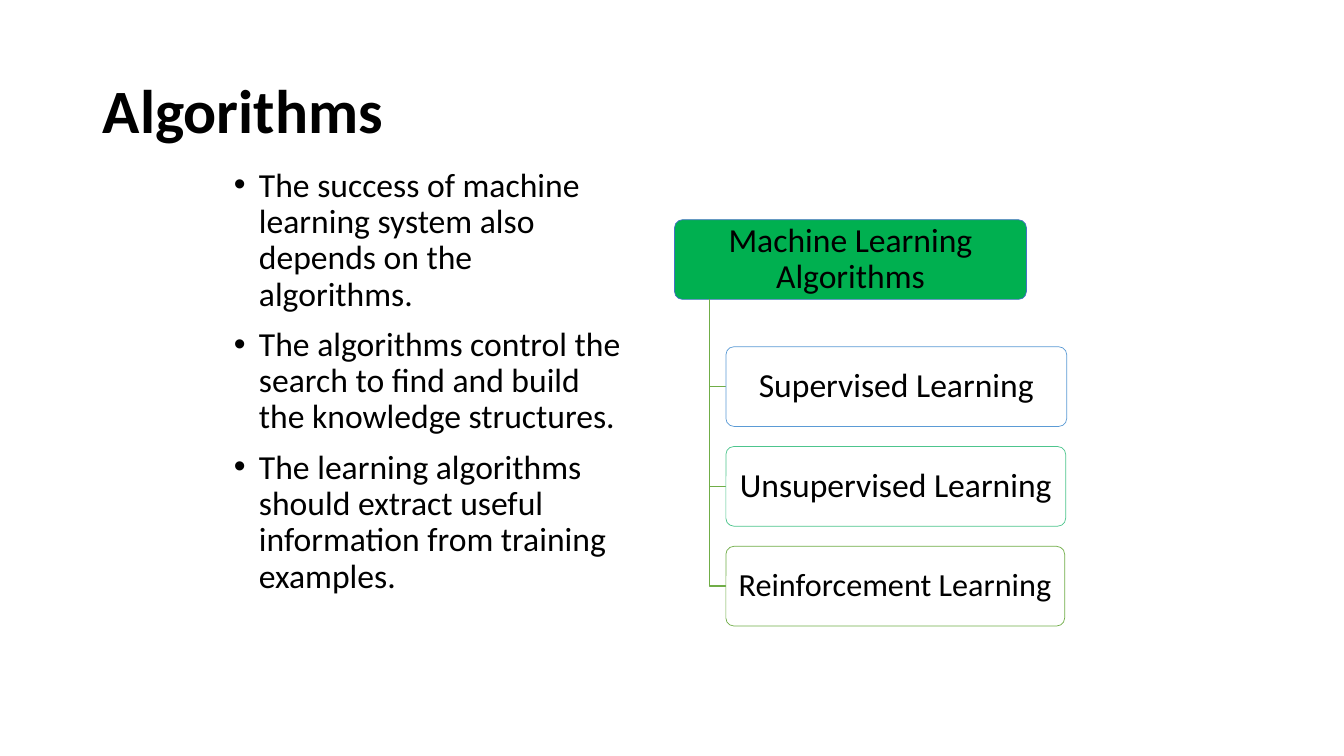
from dataclasses import dataclass

from lxml import etree
from pptx import Presentation
from pptx.dml.color import RGBColor
from pptx.enum import shapes, text
from pptx.oxml.ns import qn
from pptx.util import Inches, Pt

TITLE = "Algorithms"
POINTS = [
    "The success of machine learning system also depends on the algorithms.",
    "The algorithms control the search to find and build the knowledge structures.",
    "The learning algorithms should extract useful information from training examples.",
]
ROOT = "Machine Learning Algorithms"
# label, box width in inches, outline colour, type size
BRANCHES = [
    ("Supervised Learning", 3.38, "5B9BD5", 24),
    ("Unsupervised Learning", 3.37, "4DC58D", 24),
    ("Reinforcement Learning", 3.36, "70AD47", 23),
]


@dataclass(frozen=True)
class Theme:
    font: str = "Calibri"
    ink: str = "000000"
    root_fill: str = "00B050"
    root_line: str = "4472C4"
    branch_fill: str = "FFFFFF"
    branch_opacity: int = 90
    link: str = "70AD47"
    title_size: int = 44
    body_size: int = 24
    outline: float = 0.5
    link_width: float = 1


THEME = Theme()
ROOT_LEFT, ROOT_TOP, ROOT_WIDTH = 6.69, 2.18, 3.49
BOX_HEIGHT = 0.79
BRANCH_LEFT, BRANCH_TOP, BRANCH_GAP = 7.2, 3.44, 0.2
TRUNK_X = 7.04


def rgb(colour):
    return RGBColor.from_string(colour)


def add_text(paragraph, wording, size, bold=False):
    paragraph.line_spacing = 0.9
    run = paragraph.add_run()
    run.text = wording
    run.font.name = THEME.font
    run.font.size = Pt(size)
    run.font.bold = bold
    run.font.color.rgb = rgb(THEME.ink)


def add_title(slide):
    title = slide.shapes.title
    title.left, title.top = Inches(0.92), Inches(0.4)
    title.width, title.height = Inches(11.5), Inches(1.45)
    title.text_frame.vertical_anchor = text.MSO_ANCHOR.MIDDLE
    paragraph = title.text_frame.paragraphs[0]
    paragraph.alignment = text.PP_ALIGN.LEFT
    add_text(paragraph, TITLE, THEME.title_size, bold=True)


def add_bullet(paragraph):
    properties = paragraph._p.get_or_add_pPr()
    properties.set("marL", str(Inches(0.29)))
    properties.set("indent", str(Inches(-0.25)))
    etree.SubElement(properties, qn("a:buFont")).set("typeface", "Arial")
    etree.SubElement(properties, qn("a:buChar")).set("char", "•")


def add_points(slide):
    box = slide.shapes.add_textbox(Inches(2.18), Inches(1.62), Inches(4.08), Inches(5.08))
    frame = box.text_frame
    frame.word_wrap = True
    for index, point in enumerate(POINTS):
        paragraph = frame.add_paragraph() if index else frame.paragraphs[0]
        paragraph.space_before = Pt(10)
        add_text(paragraph, point, THEME.body_size)
        add_bullet(paragraph)


def add_box(slide, left, top, width, label, size, fill, line):
    box = slide.shapes.add_shape(
        shapes.MSO_SHAPE.ROUNDED_RECTANGLE,
        Inches(left), Inches(top), Inches(width), Inches(BOX_HEIGHT),
    )
    box.adjustments[0] = 0.1
    box.shadow.inherit = False
    box.fill.solid()
    box.fill.fore_color.rgb = rgb(fill)
    box.line.color.rgb = rgb(line)
    box.line.width = Pt(THEME.outline)
    frame = box.text_frame
    frame.word_wrap = True
    frame.vertical_anchor = text.MSO_ANCHOR.MIDDLE
    frame.margin_left = frame.margin_right = Inches(0.08)
    frame.margin_top = frame.margin_bottom = Inches(0.05)
    frame.paragraphs[0].alignment = text.PP_ALIGN.CENTER
    add_text(frame.paragraphs[0], label, size)
    return box


def set_opacity(shape, percent):
    colour = shape._element.spPr.find(qn("a:solidFill")).find(qn("a:srgbClr"))
    etree.SubElement(colour, qn("a:alpha")).set("val", str(percent * 1000))


def add_link(slide, end_y):
    """Draw the elbow from under the root box to a branch's left side."""
    start_y = ROOT_TOP + BOX_HEIGHT
    builder = slide.shapes.build_freeform(Inches(TRUNK_X), Inches(start_y))
    corners = [(TRUNK_X, end_y), (BRANCH_LEFT, end_y)]
    builder.add_line_segments([(Inches(x), Inches(y)) for x, y in corners], close=False)
    link = builder.convert_to_shape()
    link.shadow.inherit = False
    link.fill.background()
    link.line.color.rgb = rgb(THEME.link)
    link.line.width = Pt(THEME.link_width)


def add_tree(slide):
    add_box(slide, ROOT_LEFT, ROOT_TOP, ROOT_WIDTH, ROOT, THEME.body_size,
            THEME.root_fill, THEME.root_line)
    for index, (label, width, line, size) in enumerate(BRANCHES):
        top = BRANCH_TOP + index * (BOX_HEIGHT + BRANCH_GAP)
        add_link(slide, top + BOX_HEIGHT / 2)
        box = add_box(slide, BRANCH_LEFT, top, width, label, size, THEME.branch_fill, line)
        set_opacity(box, THEME.branch_opacity)


def main():
    presentation = Presentation()
    presentation.slide_width, presentation.slide_height = Inches(13.33), Inches(7.5)
    title_only = presentation.slide_layouts[5]
    slide = presentation.slides.add_slide(title_only)
    add_title(slide)
    add_points(slide)
    add_tree(slide)
    presentation.save("out.pptx")


if __name__ == "__main__":
    main()
